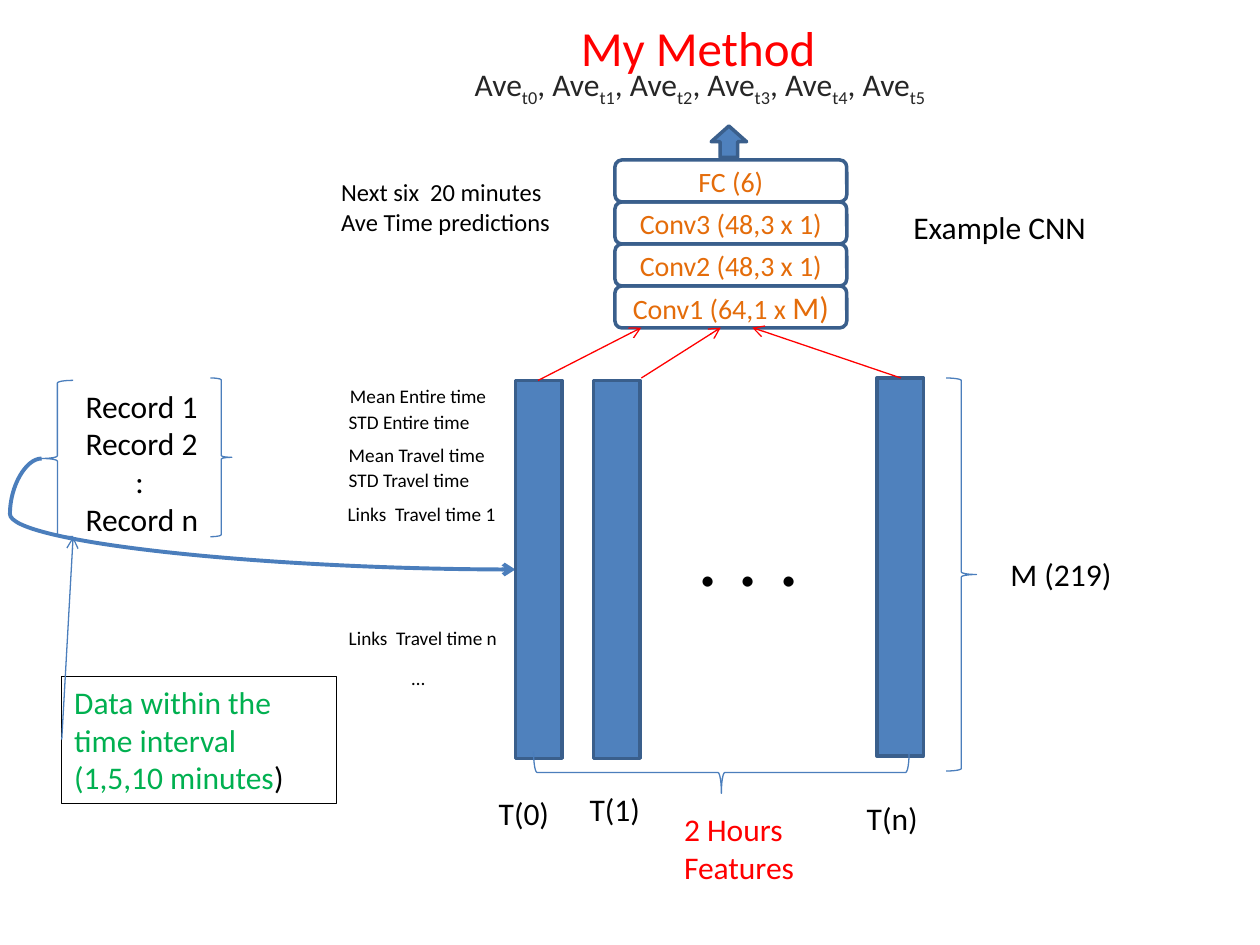
from lxml import etree
from pptx import Presentation
from pptx.dml.color import RGBColor
from pptx.enum.shapes import MSO_CONNECTOR, MSO_SHAPE
from pptx.enum.text import MSO_ANCHOR, PP_ALIGN
from pptx.oxml.ns import qn
from pptx.util import Pt

RECTANGLE, ROUNDED = MSO_SHAPE.RECTANGLE, MSO_SHAPE.ROUNDED_RECTANGLE
LEFT_BRACE, RIGHT_BRACE = MSO_SHAPE.LEFT_BRACE, MSO_SHAPE.RIGHT_BRACE
UP_ARROW = MSO_SHAPE.UP_ARROW
STRAIGHT, CURVE = MSO_CONNECTOR.STRAIGHT, MSO_CONNECTOR.CURVE
MIDDLE, CENTER = MSO_ANCHOR.MIDDLE, PP_ALIGN.CENTER
FONT = "Calibri"
COLORS = {"black": "000000", "red": "FF0000", "green": "00B050", "orange": "E46C0A",
          "gray": "262626", "line": "4B7EBC", "fill": "4F81BD", "edge": "3A5F8C"}


def color(name):
    return RGBColor.from_string(COLORS[name])


def style_span(span, size, name):
    span.font.name, span.font.size = FONT, Pt(size)
    span.font.color.rgb = color(name)


def style_text(frame, size, name):
    for para in frame.paragraphs:
        for span in para.runs:
            style_span(span, size, name)


def add_text(page, left, top, width, height, text, size=18, name="black"):
    box = page.shapes.add_textbox(Pt(left), Pt(top), Pt(width), Pt(height))
    box.text_frame.word_wrap = True
    box.text_frame.text = text
    style_text(box.text_frame, size, name)
    return box


def add_box(page, kind, left, top, width, height, line="line", weight=0.75, fill=None):
    box = page.shapes.add_shape(kind, Pt(left), Pt(top), Pt(width), Pt(height))
    box.shadow.inherit = False
    box.line.color.rgb, box.line.width = color(line), Pt(weight)
    if fill:
        box.fill.solid()
        box.fill.fore_color.rgb = color(fill)
    else:
        box.fill.background()
    return box


def add_arrow(page, start, end, name="line", weight=0.75, kind=STRAIGHT):
    arrow = page.shapes.add_connector(kind, *[Pt(value) for value in start + end])
    arrow.line.color.rgb, arrow.line.width = color(name), Pt(weight)
    properties = arrow.element.spPr
    etree.SubElement(properties.find(qn("a:ln")), qn("a:tailEnd"), type="arrow")
    etree.SubElement(properties, qn("a:effectLst"))
    return arrow


def add_title(page, left, top, width, height):
    title = page.shapes.title
    title.left, title.top, title.width, title.height = Pt(left), Pt(top), Pt(width), Pt(height)
    frame = title.text_frame
    frame.text = "My Method"
    frame.vertical_anchor = MIDDLE
    frame.paragraphs[0].alignment = CENTER
    style_text(frame, 28, "red")


def add_records(page, left, top):
    """Braced record list, its interval note and the arrow to the first bar."""
    add_box(page, LEFT_BRACE, left, top + 1.4, 18, 89.3)
    add_box(page, RIGHT_BRACE, left + 96.5, top, 12.2, 90.7)
    records = add_text(page, left + 18, top + 1.4, 95.8, 94.3,
                       "Record 1\nRecord 2\n:\nRecord n")
    records.text_frame.paragraphs[2]._p.get_or_add_pPr().set("marL", str(Pt(28.5)))

    # Curve that swings out to the left
    curve = add_arrow(page, (left, top + 46), (left + 270.7, top + 109.4),
                      weight=2.25, kind=CURVE)
    guides = curve.element.spPr.find(qn("a:prstGeom")).get_or_add_avLst()
    etree.SubElement(guides, qn("a:gd"), name="adj1", fmla="val -6700")

    # Interval note
    note = add_box(page, RECTANGLE, left + 11.5, top + 170.6, 157, 72.7, "black")
    frame = note.text_frame
    frame.text = "Data within the time interval\n(1,5,10 minutes"
    frame.vertical_anchor = MSO_ANCHOR.TOP
    style_text(frame, 18, "green")
    for para in frame.paragraphs:
        para.alignment = PP_ALIGN.LEFT
    span = frame.paragraphs[1].add_run()
    span.text = ")"
    style_span(span, 18, "black")
    add_arrow(page, (left + 11.5, top + 206.6), (left + 18, top + 90.7))


def add_feature_names(page, left, top):
    names = [("Mean Entire time", 0.7, 0), ("STD Entire time", 0, 15.1),
             ("Mean Travel time", 0, 33.8), ("STD Travel time", 0, 48.2),
             ("Links  Travel time 1", -0.7, 67.7), ("Links  Travel time n", 0, 138.2),
             ("…", 36, 161.3)]
    for text, across, down in names:
        add_text(page, left + across, top + down, 109.4, 20.6, text, 11)


def add_bars(page, left, top):
    """Feature bars over time with their labels and braces."""
    bars = [("T(0)", 0, 1.4, -16.6, 234), ("T(1)", 44.6, 1.4, 35.3, 231.8),
            ("T(n)", 206.6, 0, 193.7, 236.9)]
    for text, across, down, label_across, label_down in bars:
        add_box(page, RECTANGLE, left + across, top + down, 26.6, 216, "edge", 2, "fill")
        add_text(page, left + label_across, top + label_down, 52.6, 28.8, text)
    add_text(page, left + 97.2, top + 67.7, 76.3, 65.5, ". . .", 48)
    span_brace = add_box(page, RIGHT_BRACE, left + 105.8, top + 118.1, 23.8, 214.6)
    span_brace.rotation = 90
    add_text(page, left + 89.3, top + 243.4, 95.8, 51.1, "2 Hours Features", 18, "red")
    add_box(page, RIGHT_BRACE, left + 246.2, top, 17.3, 224.6)
    add_text(page, left + 275.8, top + 97.9, 95.8, 28.8, "M (219)")


def add_network(page, left, top):
    """Stack of layers, its output arrow, its inputs and its captions."""
    layers = ["FC (6)", "Conv3 (48,3 x 1)", "Conv2 (48,3 x 1)", "Conv1 (64,1 x "]
    for index, text in enumerate(layers):
        layer = add_box(page, ROUNDED, left, top + 24 * index, 132.5, 24, "edge", 2)
        frame = layer.text_frame
        frame.text = text
        frame.vertical_anchor = MIDDLE
        frame.paragraphs[0].alignment = CENTER
        style_text(frame, 16, "orange")
    span = frame.paragraphs[0].add_run()
    span.text = "M)"
    style_span(span, 18, "orange")

    add_box(page, UP_ARROW, left + 55, top - 19.4, 20.2, 18, "edge", 2, "fill")
    for start, end in [((-43.9, 126), 15.1), ((15.1, 124.6), 60.5), ((163.4, 124.6), 78.5)]:
        add_arrow(page, (left + start[0], top + start[1]), (left + end, top + 95.8), "red")
    add_text(page, left - 163.5, top + 6.5, 152, 41, "Next six  20 minutes Ave Time predictions", 14)
    add_text(page, left + 163.4, top + 23.8, 115.2, 28.8, "Example CNN")


def add_outputs(page, left, top, width, height):
    box = add_text(page, left, top, width, height, "")
    para = box.text_frame.paragraphs[0]
    for step in range(6):
        for text, baseline in [(", Ave" if step else "Ave", None), (f"t{step}", "-25000")]:
            span = para.add_run()
            span.text = text
            style_span(span, 18, "gray")
            if baseline:
                span.font._element.set("baseline", baseline)


deck = Presentation()
deck.slide_width, deck.slide_height = Pt(720), Pt(540)
page = deck.slides.add_slide(deck.slide_layouts[5])
add_title(page, 131.8, 18, 534.2, 18)
add_records(page, 23.8, 216)
add_feature_names(page, 192.2, 216)
add_bars(page, 294.5, 216)
add_network(page, 351.4, 91.4)
add_outputs(page, 264.2, 33.8, 306, 94.3)
deck.save("out.pptx")
